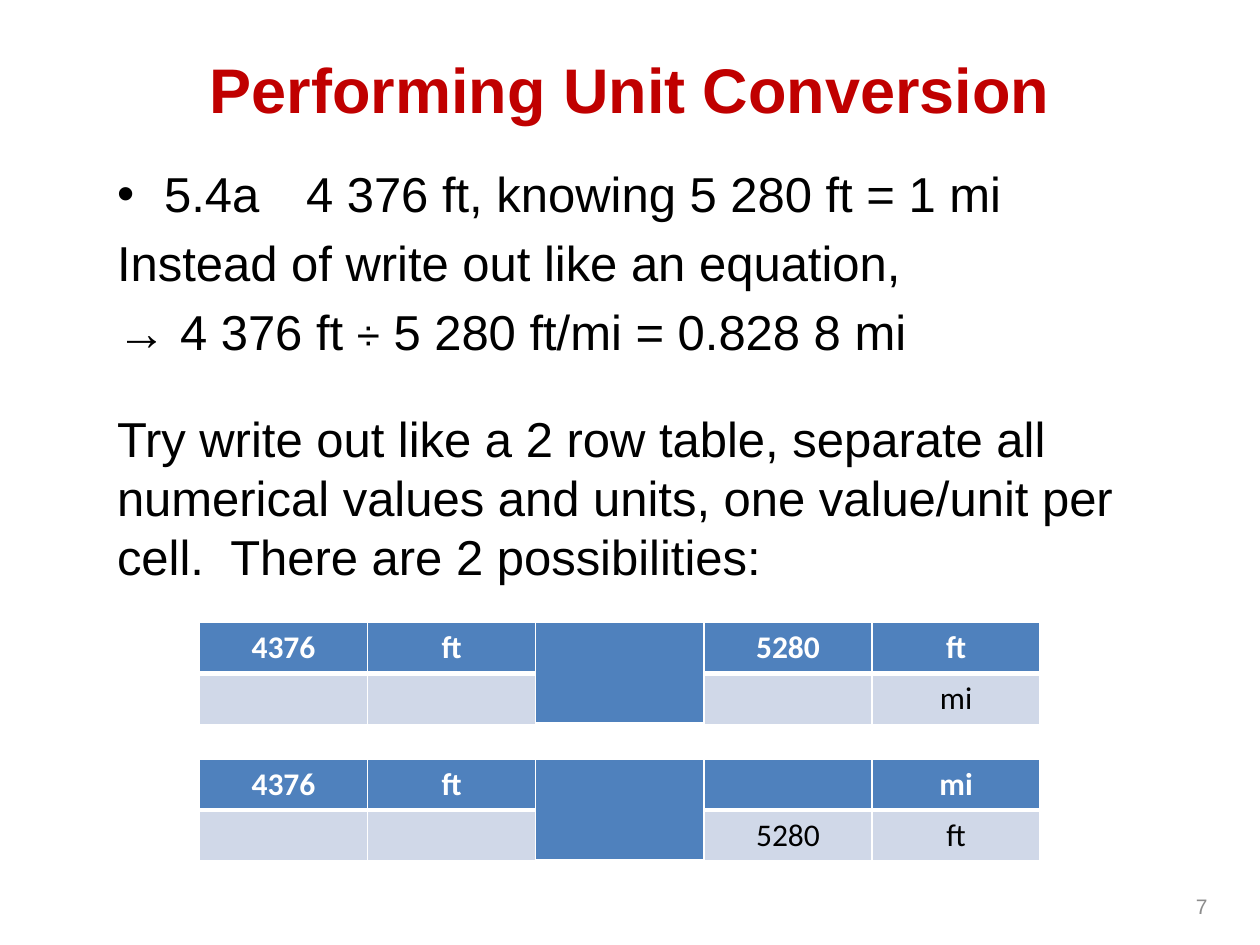
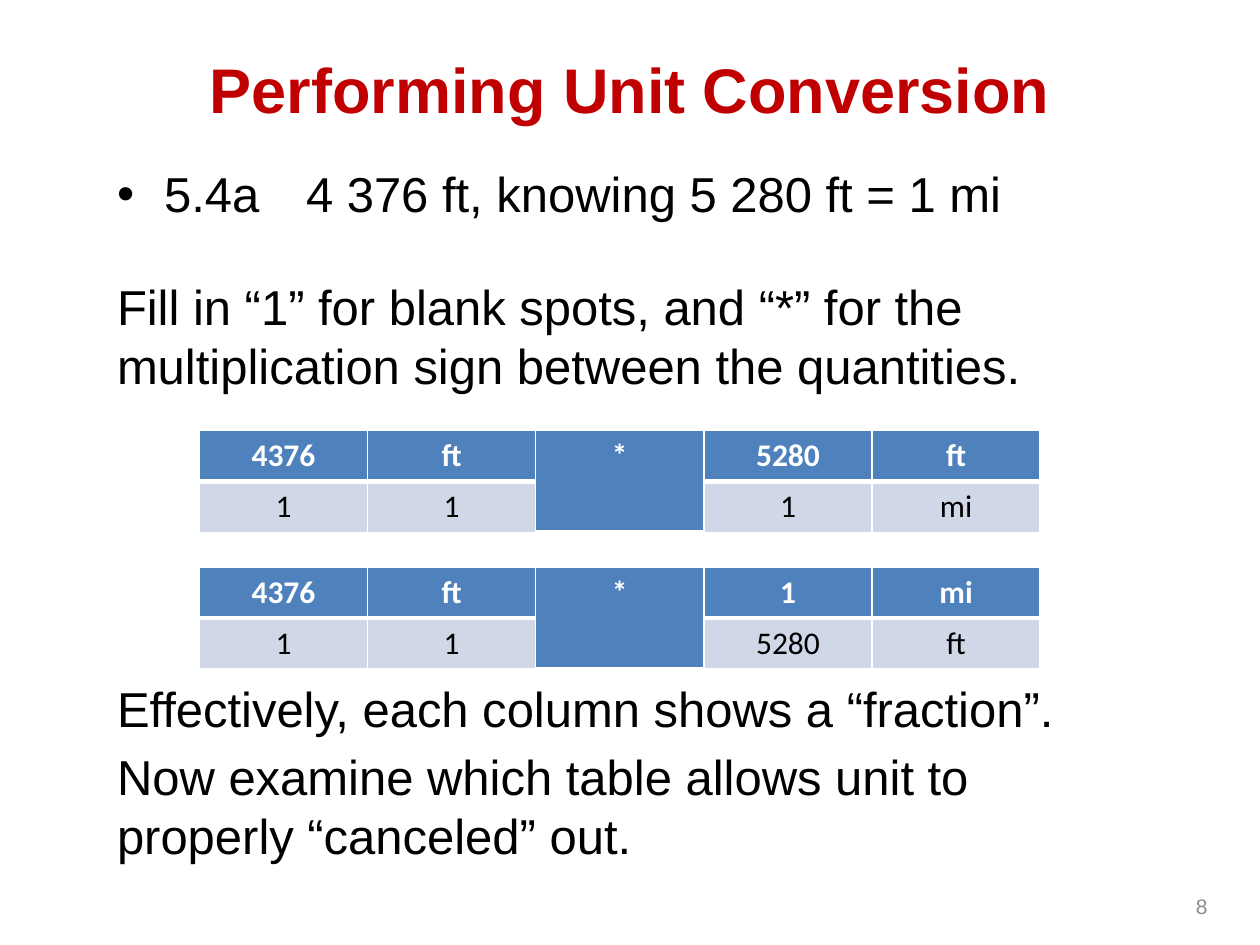
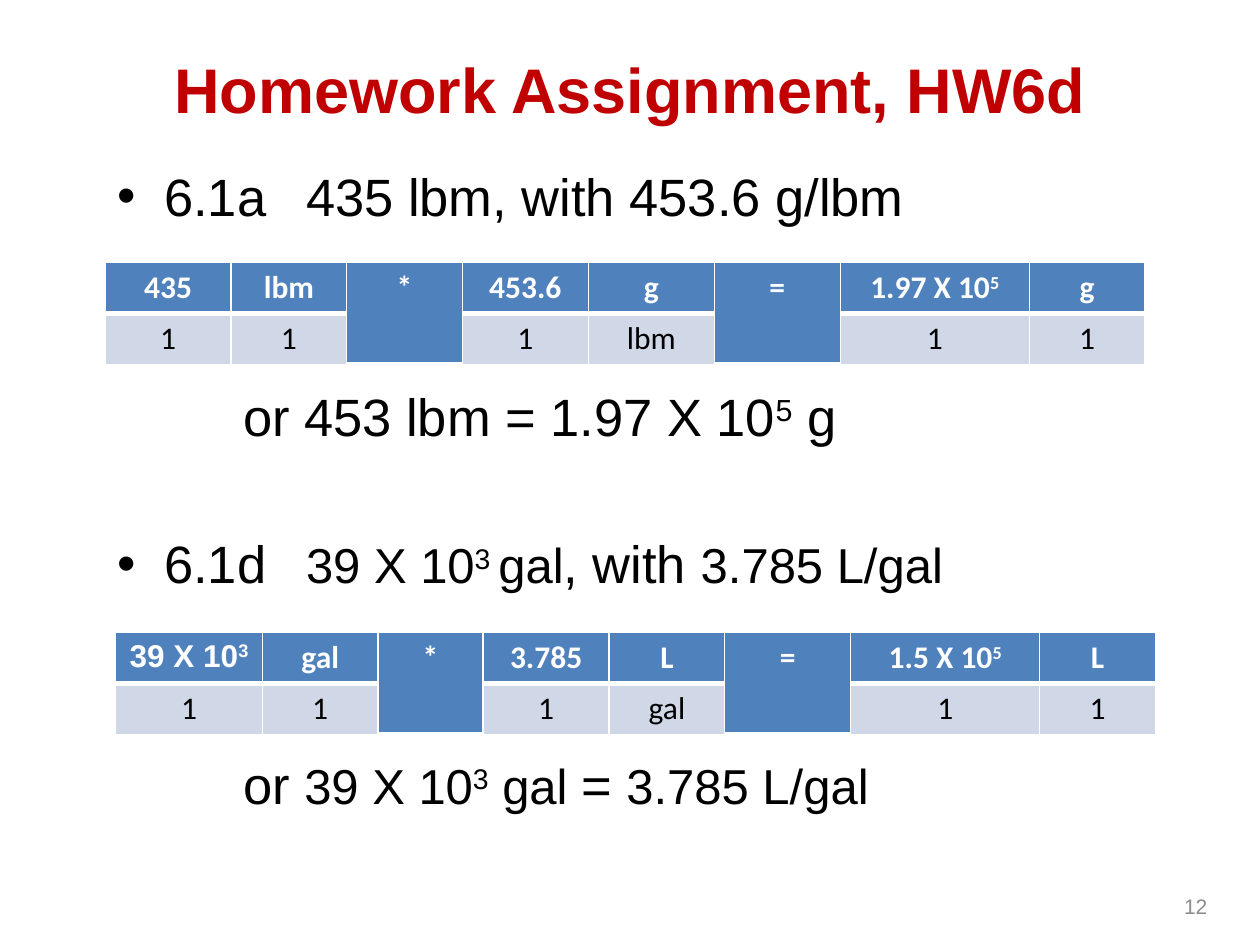
from lxml.etree import SubElement
from pptx import Presentation
from pptx.dml.color import RGBColor
from pptx.enum.text import MSO_ANCHOR, PP_ALIGN
from pptx.oxml import parse_xml
from pptx.oxml.ns import nsdecls, qn
from pptx.util import Cm, Pt

RED = RGBColor(0xC0, 0x00, 0x00)
BLACK = RGBColor(0x00, 0x00, 0x00)
WHITE = RGBColor(0xFF, 0xFF, 0xFF)
GRAY = RGBColor(0x8C, 0x8C, 0x8C)
HEADER_BLUE = RGBColor(0x4F, 0x81, 0xBD)
PALE_BLUE = RGBColor(0xD0, 0xD8, 0xE8)

TEXT_FONT = "Arial"
TABLE_FONT = "Calibri"
LINE_FACTOR = 1.2
GAP_FACTOR = 0.2
ROW_HEIGHT = Cm(1.03)
BULLET_INDENT = Cm(0.95)
TAB_INDENT = Cm(2.54)

EQUAL_WIDTHS = [3.39] * 5
EXERCISE_54A = "5.4a\t4 376 ft, knowing 5 280 ft = 1 mi"


def add_runs(paragraph, markup, size, color, font=TEXT_FONT, bold=False):
    """Add styled runs; text between carets is raised."""
    for position, part in enumerate(markup.split("^")):
        if not part:
            continue
        run = paragraph.add_run()
        run.text = part
        run.font.name = font
        run.font.size = Pt(size)
        run.font.bold = bold
        run.font.color.rgb = color
        if position % 2:
            run._r.get_or_add_rPr().set("baseline", "30000")


def add_text_frame(slide, left, top, width, height, anchor=MSO_ANCHOR.TOP):
    """Add a wrapping text box and return its text frame."""
    frame = slide.shapes.add_textbox(left, top, width, height).text_frame
    frame.word_wrap = True
    frame.vertical_anchor = anchor
    return frame


def indent(paragraph, left, first_line=0, bullet=None):
    """Set the paragraph indents and an optional bullet."""
    properties = paragraph._p.get_or_add_pPr()
    properties.set("marL", str(left))
    properties.set("indent", str(first_line))
    if bullet:
        SubElement(properties, qn("a:buFont")).set("typeface", TEXT_FONT)
        SubElement(properties, qn("a:buChar")).set("char", bullet)


def add_body(slide, size, entries):
    """Add body lines given as kind, skipped points and (markup, size) pieces."""
    frame = add_text_frame(slide, Cm(2.11), Cm(3.18), Cm(21.39), Cm(14.15))
    for position, (kind, skipped, pieces) in enumerate(entries):
        line = frame.add_paragraph() if position else frame.paragraphs[0]
        line.line_spacing = Pt(size * LINE_FACTOR)
        gap = size * GAP_FACTOR + skipped * (LINE_FACTOR + GAP_FACTOR)
        line.space_before = Pt(gap if position else 0)
        if kind == "bullet":
            indent(line, BULLET_INDENT, -BULLET_INDENT, "•")
        elif kind == "result":
            indent(line, TAB_INDENT)
        for markup, piece_size in pieces:
            add_runs(line, markup, piece_size, BLACK)


def add_heading(slide, heading):
    """Add the centred red heading."""
    frame = add_text_frame(slide, Cm(1.27), Cm(0.2), Cm(22.86), Cm(3.18), MSO_ANCHOR.MIDDLE)
    line = frame.paragraphs[0]
    line.alignment = PP_ALIGN.CENTER
    add_runs(line, heading, 36, RED, bold=True)


def add_page_number(slide, number):
    """Add the page number at the lower right."""
    frame = add_text_frame(slide, Cm(21.31), Cm(17.78), Cm(3.28), Cm(0.99), MSO_ANCHOR.MIDDLE)
    line = frame.paragraphs[0]
    line.alignment = PP_ALIGN.RIGHT
    add_runs(line, str(number), 12, GRAY)


def add_borders(cell, top, bottom):
    """Draw white cell borders with the given top and bottom widths."""
    properties = cell._tc.get_or_add_tcPr()
    sides = [("lnL", 1), ("lnR", 1), ("lnT", top), ("lnB", bottom)]
    for position, (side, width) in enumerate(sides):
        border = parse_xml(
            f'<a:{side} {nsdecls("a")} w="{Pt(width)}"><a:solidFill>'
            f'<a:srgbClr val="{WHITE}"/></a:solidFill></a:{side}>'
        )
        properties.insert(position, border)


def fill_cell(cell, markup, is_header, font):
    """Style one table cell and write its value."""
    cell.fill.solid()
    cell.fill.fore_color.rgb = HEADER_BLUE if is_header else PALE_BLUE
    add_borders(cell, *((1, 3) if is_header else (3, 1)))
    line = cell.text_frame.paragraphs[0]
    line.alignment = PP_ALIGN.CENTER
    add_runs(line, markup, 18, WHITE if is_header else BLACK, font, is_header)


def add_fraction_table(slide, left, top, widths, numerators, denominators, first_font=TABLE_FONT):
    """Add a two-row table; a None denominator makes an operator cell of both rows."""
    table = slide.shapes.add_table(
        2, len(widths), Cm(left), Cm(top), Cm(sum(widths)), ROW_HEIGHT * 2
    ).table
    for row in table.rows:
        row.height = ROW_HEIGHT
    for column, width in enumerate(widths):
        table.columns[column].width = Cm(width)
        upper, lower = table.cell(0, column), table.cell(1, column)
        fill_cell(upper, numerators[column], True, TABLE_FONT if column else first_font)
        if denominators[column] is None:
            upper.merge(lower)
        else:
            fill_cell(lower, denominators[column], False, TABLE_FONT)


def add_page(deck, heading, number, size, entries):
    """Add a slide with body lines, heading and page number."""
    slide = deck.slides.add_slide(deck.slide_layouts[6])
    add_body(slide, size, entries)
    add_heading(slide, heading)
    add_page_number(slide, number)
    return slide


def add_setup_page(deck):
    """Show the two possible table layouts with blank spots."""
    slide = add_page(deck, "Performing Unit Conversion", 7, 28, [
        ("bullet", 0, [(EXERCISE_54A, 28)]),
        ("plain", 0, [("Instead of write out like an equation,", 28)]),
        ("plain", 0, [("→\t4 376 ft ", 28), ("÷", 24), (" 5 280 ft/mi = 0.828 8 mi", 28)]),
        ("plain", 16, [("Try write out like a 2 row table, separate all numerical values "
                        "and units, one value/unit per cell.  There are 2 possibilities:", 28)]),
    ])
    add_fraction_table(slide, 4.02, 12.55, EQUAL_WIDTHS,
                       ["4376", "ft", "", "5280", "ft"], ["", "", None, "", "mi"])
    add_fraction_table(slide, 4.02, 15.3, EQUAL_WIDTHS,
                       ["4376", "ft", "", "", "mi"], ["", "", None, "5280", "ft"])


def add_filled_page(deck):
    """Show both tables with the blank spots filled in."""
    slide = add_page(deck, "Performing Unit Conversion", 8, 28, [
        ("bullet", 0, [(EXERCISE_54A, 28)]),
        ("plain", 18, [("Fill in “1” for blank spots, and “*” for the "
                        "multiplication sign between the quantities.", 28)]),
        ("plain", 4 * 28, [("Effectively, each column shows a “fraction”.", 28)]),
        ("plain", 0, [("Now examine which table allows unit to properly “canceled” out.", 28)]),
    ])
    add_fraction_table(slide, 4.02, 8.68, EQUAL_WIDTHS,
                       ["4376", "ft", "*", "5280", "ft"], ["1", "1", None, "1", "mi"])
    add_fraction_table(slide, 4.02, 11.43, EQUAL_WIDTHS,
                       ["4376", "ft", "*", "1", "mi"], ["1", "1", None, "5280", "ft"])


def add_homework_page(deck):
    """Show the two worked homework conversions."""
    slide = add_page(deck, "Homework Assignment, HW6d", 12, 30, [
        ("bullet", 0, [("6.1a\t435 lbm, with 453.6 g/lbm", 30)]),
        ("result", 2 * 30, [("or 453 lbm = 1.97 X 10^5^ g", 30)]),
        ("bullet", 30, [("6.1d\t", 30), ("39 X 10^3 ^gal", 28),
                        (", with ", 30), ("3.785 L/gal", 28)]),
        ("result", 2 * 30, [("or ", 30), ("39 X 10^3^ gal ", 28),
                            ("= ", 30), ("3.785 L/gal", 28)]),
    ])
    add_fraction_table(slide, 2.12, 5.29, [2.54, 2.33, 2.33, 2.54, 2.54, 2.54, 3.81, 2.33],
                       ["435", "lbm", "*", "453.6", "g", "=", "1.97 X 10^5", "g"],
                       ["1", "1", None, "1", "lbm", None, "1", "1"])
    add_fraction_table(slide, 2.33, 12.75, [2.96, 2.33, 2.12, 2.54, 2.33, 2.54, 3.81, 2.33],
                       ["39 X 10^3 ", "gal", "*", "3.785", "L", "=", "1.5 X 10^5", "L"],
                       ["1", "1", None, "1", "gal", None, "1", "1"], TEXT_FONT)


def main():
    """Build the deck and save it."""
    deck = Presentation()
    deck.slide_width = Cm(25.4)
    deck.slide_height = Cm(19.05)
    add_setup_page(deck)
    add_filled_page(deck)
    add_homework_page(deck)
    deck.save("out.pptx")


if __name__ == "__main__":
    main()
